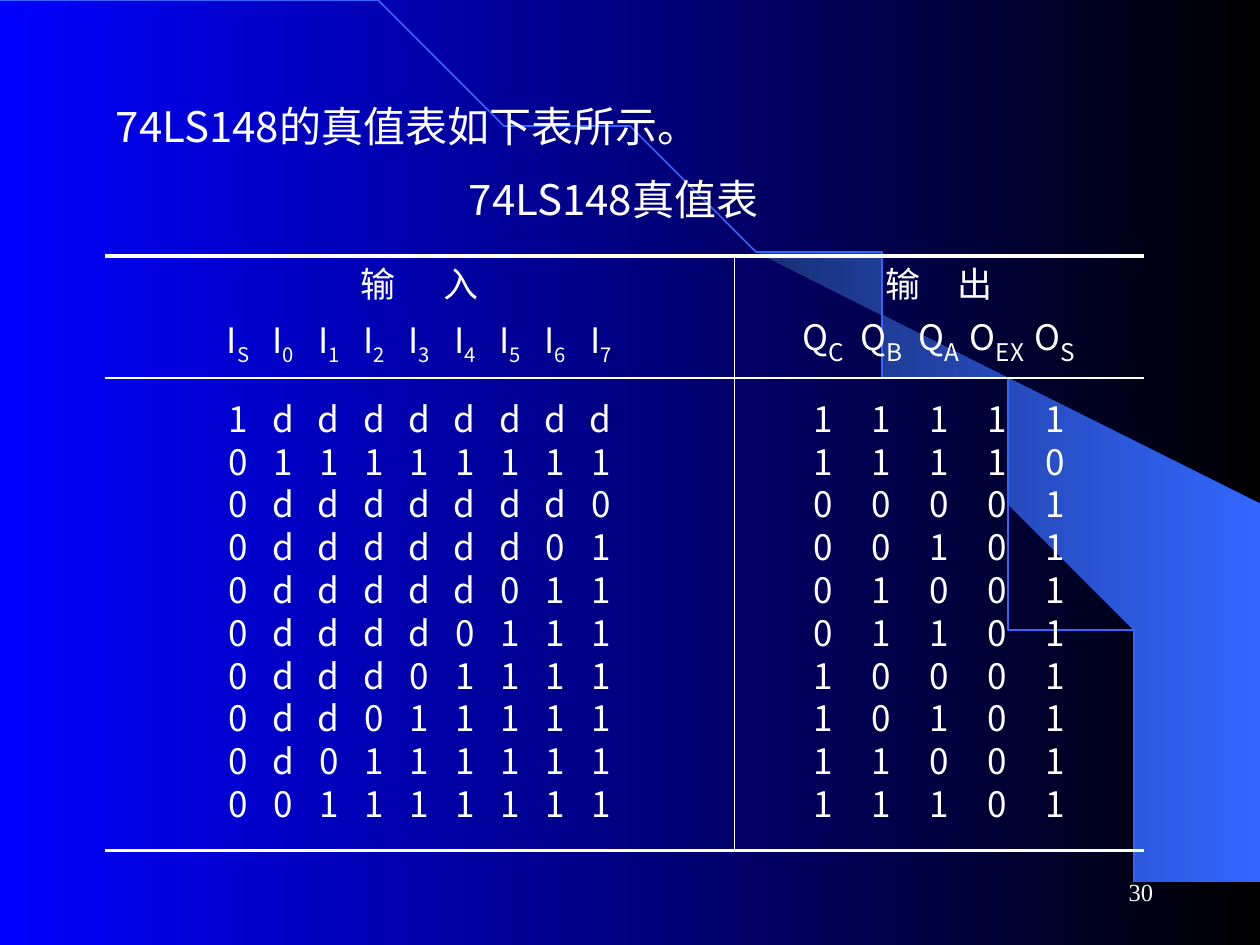
from math import cos, pi, sin

from lxml.etree import SubElement
from pptx import Presentation
from pptx.dml.color import RGBColor
from pptx.enum.shapes import MSO_CONNECTOR
from pptx.enum.text import MSO_ANCHOR, PP_ALIGN
from pptx.oxml.ns import qn
from pptx.util import Inches, Pt

WHITE = RGBColor(0xFF, 0xFF, 0xFF)
BLACK = RGBColor(0x00, 0x00, 0x00)
BLUE = RGBColor(0x00, 0x00, 0xFF)
SKY = RGBColor(0x33, 0x66, 0xFF)
NAVY = RGBColor(0x18, 0x2F, 0x76)
FONT, NUMBER_FONT = "Noto Sans CJK SC", "Times New Roman"
LEFT, CENTER, RIGHT = PP_ALIGN.LEFT, PP_ALIGN.CENTER, PP_ALIGN.RIGHT
TOP, MIDDLE, BOTTOM = MSO_ANCHOR.TOP, MSO_ANCHOR.MIDDLE, MSO_ANCHOR.BOTTOM
STRAIGHT = MSO_CONNECTOR.STRAIGHT
NO_STYLE = "{2D5ABB26-0587-4C30-8999-92F81FD0307C}"

WIDTH, HEIGHT = 10, 7.5
ROW, HEAD_ROW = 0.34, 0.485
# Each half: heading, gap in it (pt), labels, subscript size (pt), width, column pitch
INPUTS = ("输入", 27, [("I", mark) for mark in "S01234567"], 20, 5, 0.36)
OUTPUTS = ("输出", 21, [("Q", "C"), ("Q", "B"), ("Q", "A"), ("O", "EX"), ("O", "S")],
           24, 3.25, 0.46)


def truth_rows():
    rows = ["1" + "d" * 8 + "11111", "0" + "1" * 8 + "11110"]
    for code in range(8):
        rows.append("0" + "d" * (7 - code) + "0" + "1" * code + f"{code:03b}01")
    return rows


def set_font(para, size, align, face=FONT):
    para.alignment = align
    para.font.size = Pt(size)
    para.font.name = face
    para.font.color.rgb = WHITE
    SubElement(para.font._rPr, qn("a:ea"), typeface=face)


def add_span(para, text, size=None, **attributes):
    span = para.add_run()
    span.text = text
    if size:
        span.font.size = Pt(size)
    for name, value in attributes.items():
        span._r.get_or_add_rPr().set(name, str(value))


def add_text(page, box, text, size, align, anchor=TOP, face=FONT, inset=0.1):
    frame = page.shapes.add_textbox(*map(Inches, box)).text_frame
    frame.word_wrap = True
    frame.vertical_anchor = anchor
    frame.margin_left = Inches(inset)
    para = frame.paragraphs[0]
    para.text = text
    set_font(para, size, align, face)


def add_line(page, start, end, weight):
    line = page.shapes.add_connector(STRAIGHT, *map(Inches, (*start, *end)))
    line.line.color.rgb = WHITE
    line.line.width = Pt(weight)
    SubElement(line._element.spPr, qn("a:effectLst"))


def set_gradient(fill, *colors):
    fill.gradient()
    fill.gradient_angle = 0
    for stop, color in zip(fill.gradient_stops, colors):
        stop.color.rgb = color


def add_outline(page, points, close):
    builder = page.shapes.build_freeform(*points[0], scale=Inches(1))
    builder.add_line_segments(points[1:], close=close)
    shape = builder.convert_to_shape()
    shape.shadow.inherit = False
    return shape


def add_backdrop(page):
    set_gradient(page.background.fill, BLUE, BLACK)
    wedge = add_outline(page, [
        (9.2, 7.48), (9.99, 7.49), (9.99, 4.23), (5.89, 1.73), (6.24, 1.99),
        (6.53, 2.22), (6.85, 2.5), (7.16, 2.8), (7.62, 3.3), (8.03, 3.84),
        (8.32, 4.31), (8.58, 4.79), (8.78, 5.28), (8.93, 5.72), (9.03, 6.09),
        (9.13, 6.56), (9.17, 6.96)], True)
    set_gradient(wedge.fill, NAVY, SKY)
    wedge.line.fill.background()
    steps = 60
    angles = [pi / 2 * step / steps for step in range(steps + 1)]
    arc = add_outline(page, [(9.2 * sin(a), 7.49 * (1 - cos(a))) for a in angles], False)
    arc.fill.background()
    arc.line.color.rgb = SKY
    arc.line.width = Pt(1)


def prepare_cell(cell, anchor=MIDDLE):
    """Clear the cell's fill and margins and return its paragraph."""
    cell.fill.background()
    cell.margin_top = cell.margin_bottom = cell.margin_right = 0
    cell.vertical_anchor = anchor
    para = cell.text_frame.paragraphs[0]
    para.line_spacing = Pt(24)
    set_font(para, 20, CENTER)
    return para


def fill_half(table, first, half, rows):
    """Fill one half from column first; its outer columns take up the side space."""
    heading, gap, labels, mark_size, width, pitch = half
    count = len(labels)
    pad = (width - count * pitch) / 2
    table.cell(0, first).merge(table.cell(0, first + count - 1))
    for index, (letter, mark) in enumerate(labels):
        column = first + index
        before = pad if index == 0 else 0
        after = pad if index == count - 1 else 0
        table.columns[column].width = Inches(before + pitch + after)
        for number in range(len(table.rows)):
            cell = table.cell(number, column)
            anchor = {2: BOTTOM, len(table.rows) - 1: TOP}.get(number, MIDDLE)
            para = prepare_cell(cell, anchor)
            cell.margin_left = 0
            if number == 0:
                if index == 0:
                    add_span(para, heading[0], spc=gap * 100)
                    add_span(para, heading[1])
                continue
            cell.margin_left, cell.margin_right = Inches(before), Inches(after)
            if number == 1:
                add_span(para, letter)
                add_span(para, mark, mark_size, baseline=-25000)
            else:
                add_span(para, rows[number - 2][column])


def add_truth_table(page, box):
    left, top, width, height = box
    rows = truth_rows()
    table = page.shapes.add_table(len(rows) + 2, len(rows[0]), *map(Inches, box)).table
    table.first_row = table.horz_banding = False
    table._tbl.tblPr.find(qn("a:tableStyleId")).text = NO_STYLE
    outer_row = (height - 2 * HEAD_ROW - (len(rows) - 2) * ROW) / 2
    heights = [HEAD_ROW] * 2 + [outer_row] + [ROW] * (len(rows) - 2) + [outer_row]
    for row, row_height in zip(table.rows, heights):
        row.height = Inches(row_height)
    fill_half(table, 0, INPUTS, rows)
    fill_half(table, len(INPUTS[2]), OUTPUTS, rows)

    right, bottom, middle = left + width, top + height, left + INPUTS[4]
    for y, weight in ((top, 2.25), (top + 2 * HEAD_ROW, 1), (bottom, 2.25)):
        add_line(page, (left, y), (right, y), weight)
    add_line(page, (middle, top), (middle, bottom), 1)


def main():
    deck = Presentation()
    deck.slide_width, deck.slide_height = Inches(WIDTH), Inches(HEIGHT)
    page = deck.slides.add_slide(deck.slide_layouts[6])
    add_backdrop(page)
    add_text(page, (7.17, 6.83, 2.08, 0.5), "30", 14, RIGHT, MIDDLE, NUMBER_FONT)
    add_text(page, (3.08, 1.33, 3.58, 0.5), "74LS148真值表", 24, CENTER)
    add_truth_table(page, (0.83, 2.03, 8.25, 4.72))
    add_text(page, (0.75, 0.75, 5.01, 0.5), "74LS148的真值表如下表所示。", 24, LEFT, inset=0.17)
    deck.save("out.pptx")


if __name__ == "__main__":
    main()
